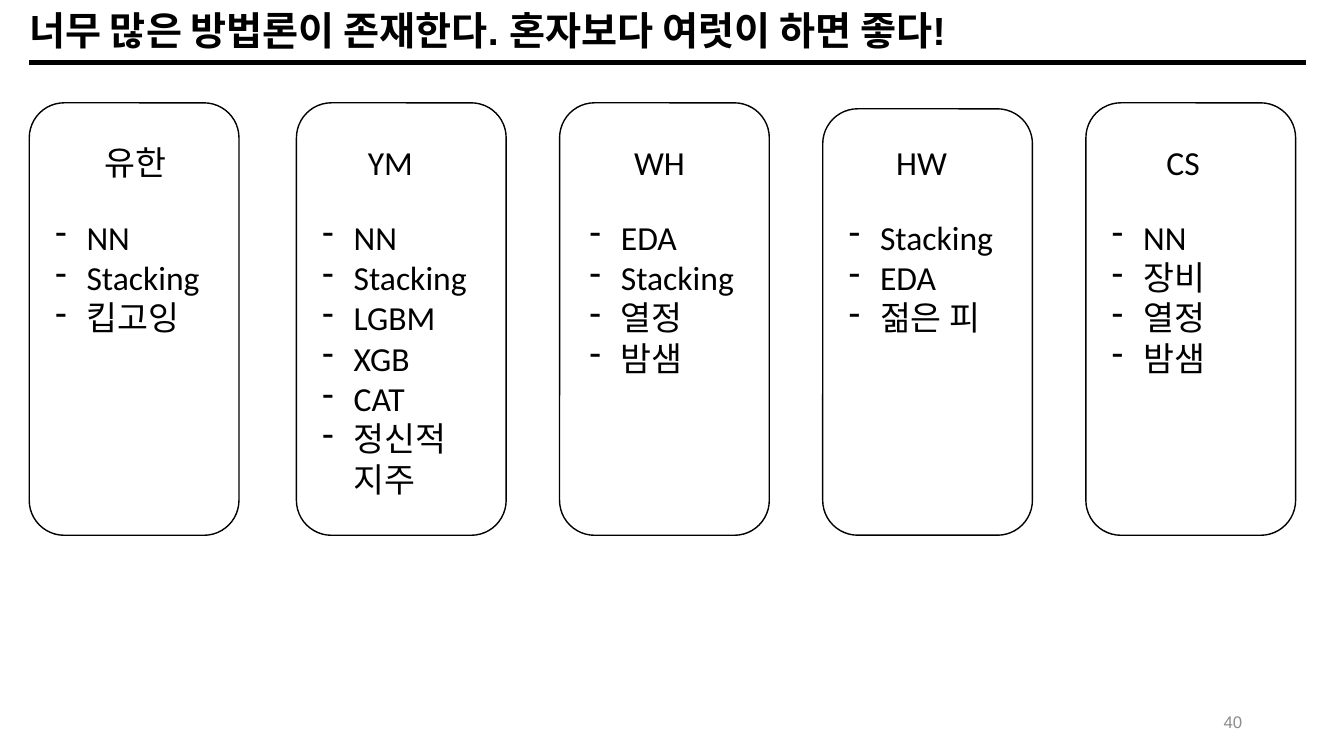
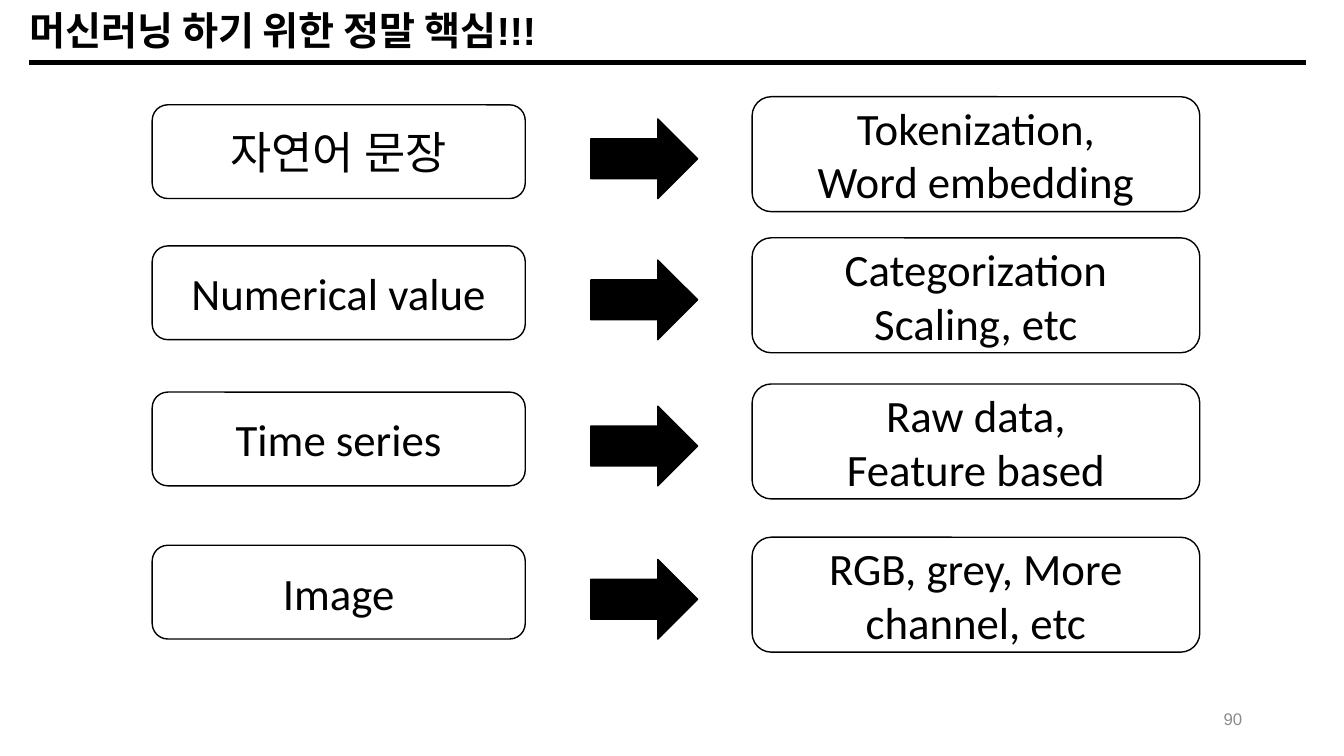
from dataclasses import dataclass

from lxml import etree
from pptx import Presentation
from pptx.dml.color import RGBColor
from pptx.enum.shapes import MSO_CONNECTOR, MSO_SHAPE
from pptx.enum.text import MSO_ANCHOR, MSO_AUTO_SIZE, PP_ALIGN
from pptx.oxml.ns import qn
from pptx.util import Emu, Pt

ROUNDED, ARROW = MSO_SHAPE.ROUNDED_RECTANGLE, MSO_SHAPE.RIGHT_ARROW
STRAIGHT = MSO_CONNECTOR.STRAIGHT
LEFT, CENTER, RIGHT = PP_ALIGN.LEFT, PP_ALIGN.CENTER, PP_ALIGN.RIGHT
TOP, MIDDLE, BOTTOM = MSO_ANCHOR.TOP, MSO_ANCHOR.MIDDLE, MSO_ANCHOR.BOTTOM
GROW, FIXED = MSO_AUTO_SIZE.SHAPE_TO_FIT_TEXT, MSO_AUTO_SIZE.NONE


def px(value):
    """Turn pixels, 100 to the inch, into EMU."""
    return Emu(value * 9144)


# Shared look
@dataclass(frozen=True)
class Theme:
    ink: RGBColor = RGBColor(0, 0, 0)
    paper: RGBColor = RGBColor(255, 255, 255)
    muted: RGBColor = RGBColor(0x8C, 0x8C, 0x8C)
    outline: Pt = Pt(1)
    rule: Pt = Pt(3)
    indent: Emu = px(31)

    @property
    def title(self):
        return {"name": "Arial", "size": Pt(28), "bold": True}

    @property
    def number(self):
        return {"name": "Arial", "size": Pt(12)}

    @property
    def body(self):
        return {"name": "Calibri", "size": Pt(24)}

    @property
    def label(self):
        return {"name": "Calibri", "size": Pt(32)}


THEME = Theme()

# Cards: name, card left, card top, name left, list left, list items
CARD_BOTTOM = 531
MEMBERS = [
    ("유한", 29, 102, 94, 45, ["NN", "Stacking", "킵고잉"]),
    ("YM", 294, 102, 355, 310,
     ["NN", "Stacking", "LGBM", "XGB", "CAT", "정신적 지주"]),
    ("WH", 555, 102, 619, 575, ["EDA", "Stacking", "열정", "밤샘"]),
    ("HW", 816, 108, 879, 832, ["Stacking", "EDA", "젊은 피"]),
    ("CS", 1077, 102, 1147, 1093, ["NN", "장비", "열정", "밤샘"]),
]

# Flow rows: top, input, techniques
FLOWS = [
    (104, "자연어 문장", ["Tokenization,", "Word embedding"]),
    (244, "Numerical value", ["Categorization", "Scaling, etc"]),
    (389, "Time series", ["Raw data,", "Feature based"]),
    (541, "Image", ["RGB, grey, More channel, etc"]),
]


# Text
def add_dash(para):
    props = para._p.get_or_add_pPr()
    props.set("marL", str(THEME.indent))
    props.set("indent", str(-THEME.indent))
    etree.SubElement(props, qn("a:buChar")).set("char", "-")


def write(shape, lines, style, color=THEME.ink, align=LEFT, anchor=TOP,
          fit=FIXED, spacing=None, dashed=False):
    frame = shape.text_frame
    settings = {"word_wrap": True, "auto_size": fit, "vertical_anchor": anchor}
    for name, value in settings.items():
        setattr(frame, name, value)
    for index, line in enumerate(lines):
        para = frame.paragraphs[0] if index == 0 else frame.add_paragraph()
        para.alignment = align
        if spacing:
            para.line_spacing = spacing
        if dashed:
            add_dash(para)
        span = para.add_run()
        span.text = line
        for name, value in style.items():
            setattr(span.font, name, value)
        span.font.color.rgb = color


def add_text(page, area, lines, style, **options):
    box = page.shapes.add_textbox(*map(px, area))
    write(box, lines, style, **options)


# Shapes
def add_block(page, kind, area, fill=THEME.paper):
    block = page.shapes.add_shape(kind, *map(px, area))
    block.shadow.inherit = False
    block.fill.solid()
    block.fill.fore_color.rgb = fill
    block.line.color.rgb = THEME.ink
    block.line.width = THEME.outline
    return block


def add_label_block(page, area, lines):
    block = add_block(page, ROUNDED, area)
    write(block, lines, THEME.label, align=CENTER, anchor=MIDDLE)


def add_rule(page):
    rule = page.shapes.add_connector(STRAIGHT, px(29), px(62), px(1295), px(62))
    rule.line.color.rgb = THEME.ink
    rule.line.width = THEME.rule
    etree.SubElement(rule._element.spPr, qn("a:effectLst"))


# Title, rule and page number
def add_page(deck, title, number, number_height):
    page = deck.slides.add_slide(deck.slide_layouts[6])
    add_text(page, (19, 2, 1210, 56), [title], THEME.title,
             anchor=BOTTOM, spacing=0.9)
    add_rule(page)
    add_text(page, (1188, 701, 54, number_height), [number], THEME.number,
             color=THEME.muted, align=RIGHT, anchor=MIDDLE)
    return page


def add_member(page, name, left, top, name_left, list_left, items):
    add_block(page, ROUNDED, (left, top, 208, CARD_BOTTOM - top))
    add_text(page, (name_left, 136, 115, 50), [name], THEME.body, fit=GROW)
    add_text(page, (list_left, 210, 175, 10 + 40 * len(items)), items,
             THEME.body, fit=GROW, dashed=True)


def add_flow(page, top, source, techniques):
    add_label_block(page, (151, top, 370, 93), [source])
    add_block(page, ARROW, (586, top + 14, 106, 79), THEME.ink)
    add_label_block(page, (746, top - 8, 444, 114), techniques)


def main():
    deck = Presentation()
    deck.slide_width, deck.slide_height = px(1333), px(750)

    # Team strengths
    page = add_page(deck, "너무 많은 방법론이 존재한다. 혼자보다 여럿이 하면 좋다!", "40", 31)
    for member in MEMBERS:
        add_member(page, *member)

    # Data kinds and their preparation
    page = add_page(deck, "머신러닝 하기 위한 정말 핵심!!!", "90", 25)
    for flow in FLOWS:
        add_flow(page, *flow)

    deck.save("out.pptx")


if __name__ == "__main__":
    main()
